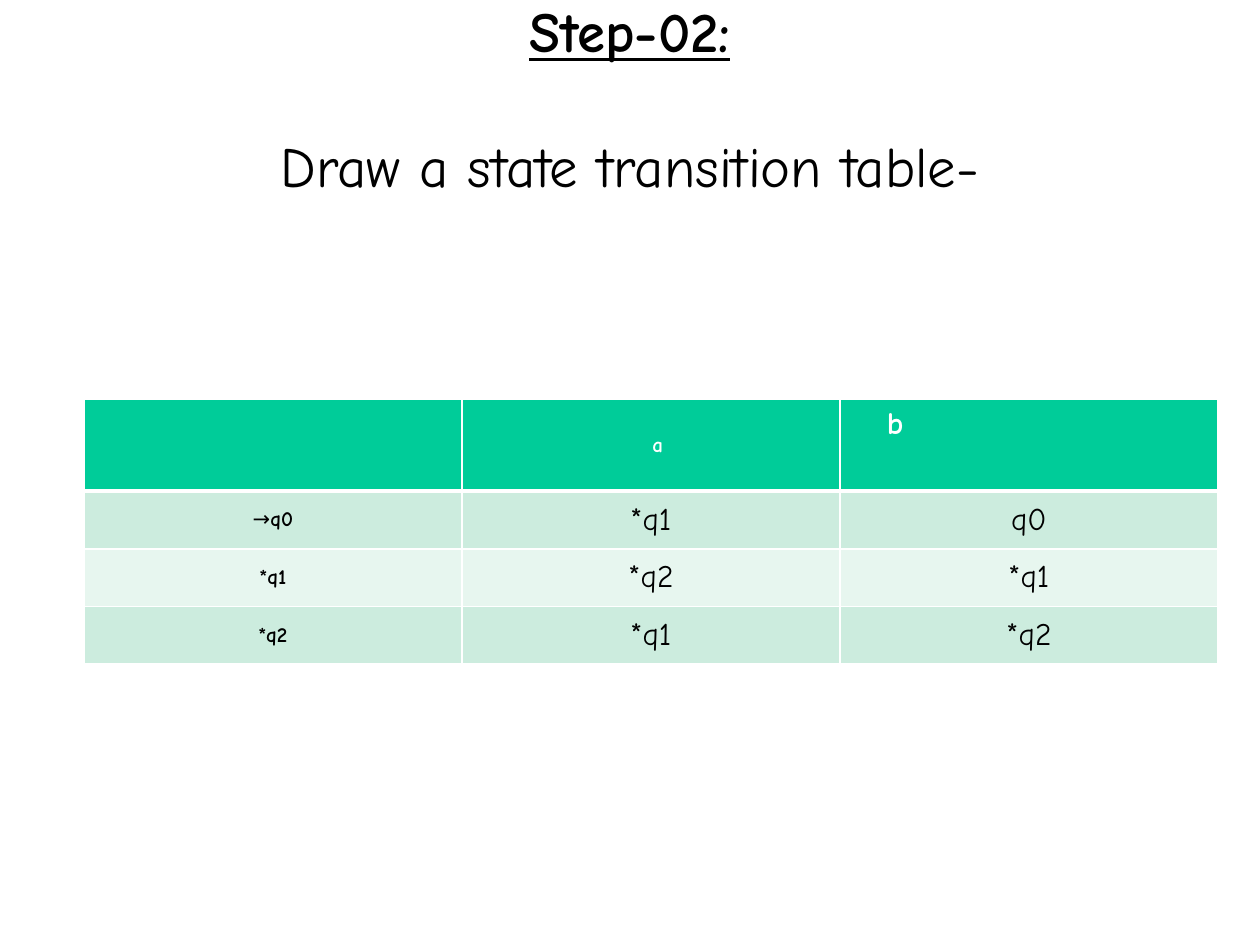
from typing import NamedTuple

from lxml.etree import SubElement
from pptx import Presentation
from pptx.dml.color import RGBColor
from pptx.enum.text import MSO_ANCHOR, PP_ALIGN
from pptx.oxml.ns import qn
from pptx.util import Cm, Pt

FONT = "Comic Neue"
HUES = {"ink": "000000", "white": "FFFFFF", "head": "00CC99",
        "dark": "CCECDE", "light": "E7F6EF"}


class Entry(NamedTuple):
    text: str
    size: float = 18
    bold: bool = False
    hue: str = "ink"
    left: float = 0.25
    pad: float = 0.2
    align: PP_ALIGN = PP_ALIGN.CENTER
    anchor: MSO_ANCHOR = MSO_ANCHOR.MIDDLE


def style(run, size: float, bold: bool, hue: str) -> None:
    font = run.font
    font.name, font.size, font.bold = FONT, Pt(size), bold
    font.color.rgb = RGBColor.from_string(HUES[hue])


def edge(cell, widths: dict[str, float]) -> None:
    """Draw white cell borders with the given widths in points."""
    props = cell._tc.get_or_add_tcPr()
    for spot, (side, width) in enumerate(widths.items()):
        line = SubElement(props, qn(f"a:ln{side}"), w=str(Pt(width)))
        fill = SubElement(line, qn("a:solidFill"))
        SubElement(fill, qn("a:srgbClr"), val=HUES["white"])
        props.insert(spot, line)


def fill_cell(cell, entry: Entry, hue: str) -> None:
    cell.fill.solid()
    cell.fill.fore_color.rgb = RGBColor.from_string(HUES[hue])
    cell.margin_left, cell.margin_right = Cm(entry.left), Cm(0.25)
    cell.margin_top = cell.margin_bottom = Cm(entry.pad)
    cell.vertical_anchor = entry.anchor
    para = cell.text_frame.paragraphs[0]
    para.alignment = entry.align
    # The start arrow is a regular-weight run of its own
    for part in entry.text.replace("→", "→\n").split("\n"):
        if part:
            run = para.add_run()
            run.text = part
            style(run, entry.size, entry.bold and part != "→", entry.hue)


def add_title(slide) -> None:
    box = slide.shapes.add_textbox(Cm(0.42), Cm(0.42), Cm(24.56), Cm(3.09))
    frame = box.text_frame
    frame.word_wrap = True
    frame.vertical_anchor = MSO_ANCHOR.MIDDLE
    frame.text = "Step-02:\nDraw a state transition table-"
    for spot, para in enumerate(frame.paragraphs):
        para.alignment = PP_ALIGN.CENTER
        style(para.runs[0], 32.4, spot == 0, "ink")
        para.runs[0].font.underline = spot == 0
    frame.paragraphs[1].space_before = Pt(38.6)


def add_states(slide) -> None:
    head = [
        Entry(""),
        Entry("a", 12, True, "white", left=0.53),
        Entry("b", 18, True, "white", left=0.95, pad=0.13,
              align=PP_ALIGN.LEFT, anchor=MSO_ANCHOR.TOP),
    ]
    moves = [("→q0", "*q1", "q0"), ("*q1", "*q2", "*q1"), ("*q2", "*q1", "*q2")]
    rows = [head] + [[Entry(state, 12, True), Entry(a), Entry(b)]
                     for state, a, b in moves]
    tall = [1.85] + [1.16] * len(moves)
    table = slide.shapes.add_table(
        len(rows), len(head), Cm(1.69), Cm(8.05), Cm(22.86), Cm(sum(tall))).table
    for col in table.columns:
        col.width = Cm(7.62)
    for r, row in enumerate(rows):
        table.rows[r].height = Cm(tall[r])
        hue = "head" if r == 0 else "dark" if r % 2 else "light"
        for c, entry in enumerate(row):
            cell = table.cell(r, c)
            fill_cell(cell, entry, hue)
            edge(cell, {"L": 1, "R": 1, "T": 3 if r == 1 else 1,
                        "B": 3 if r == 0 else 1})


def main() -> None:
    deck = Presentation()
    deck.slide_width, deck.slide_height = Cm(25.4), Cm(19.05)
    slide = deck.slides.add_slide(deck.slide_layouts[6])
    # Heading, then the transition table
    add_title(slide)
    add_states(slide)
    deck.save("out.pptx")


if __name__ == "__main__":
    main()
